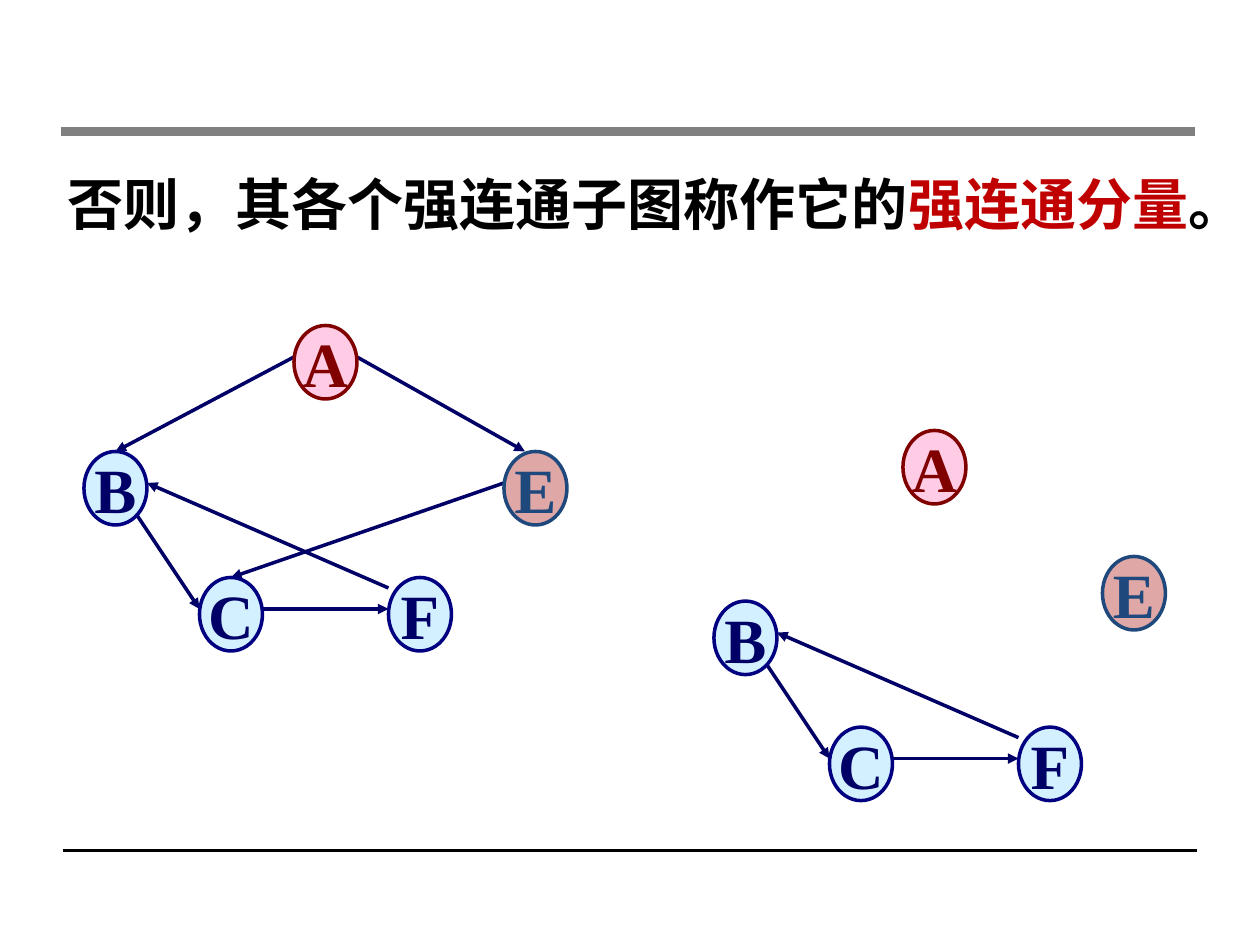
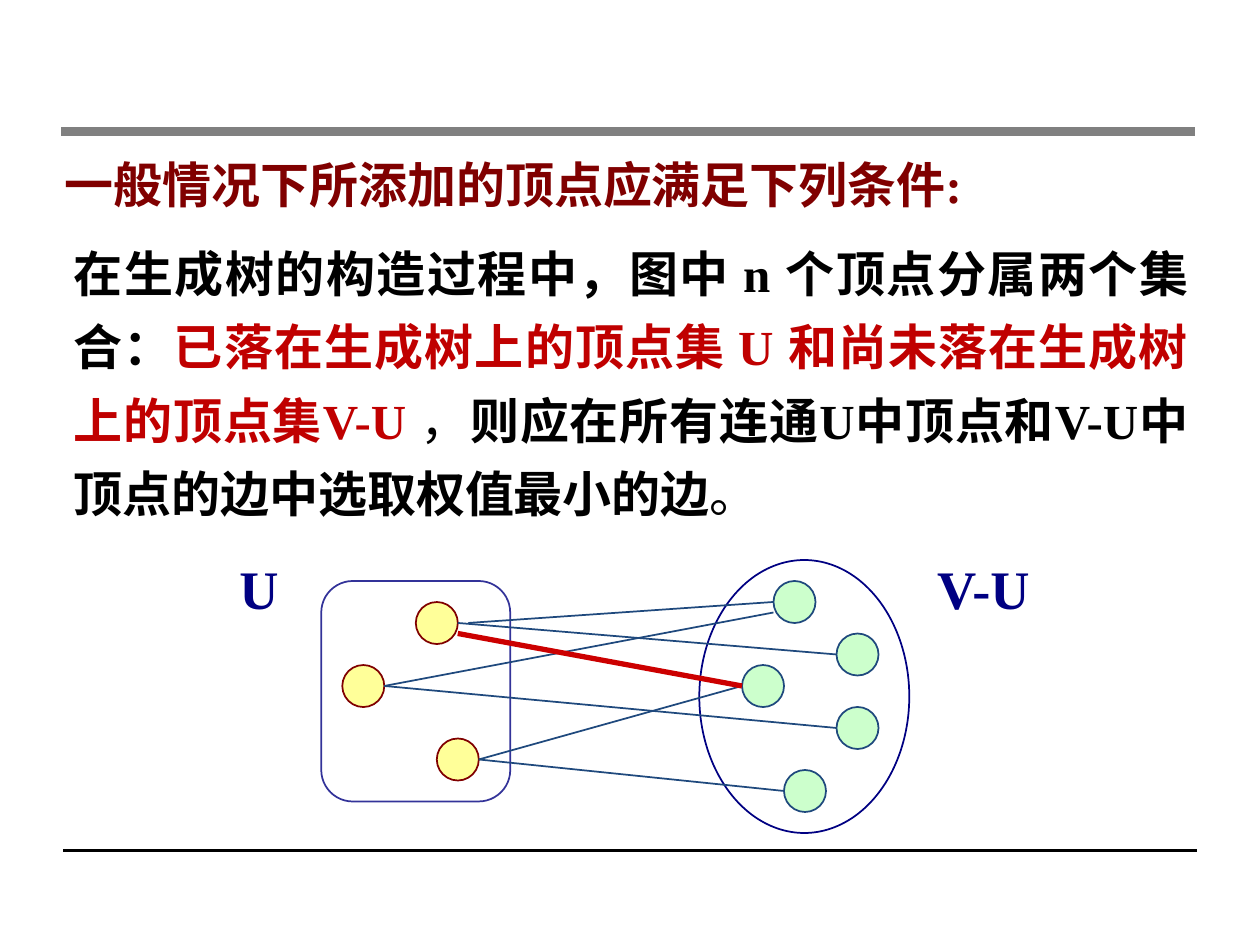
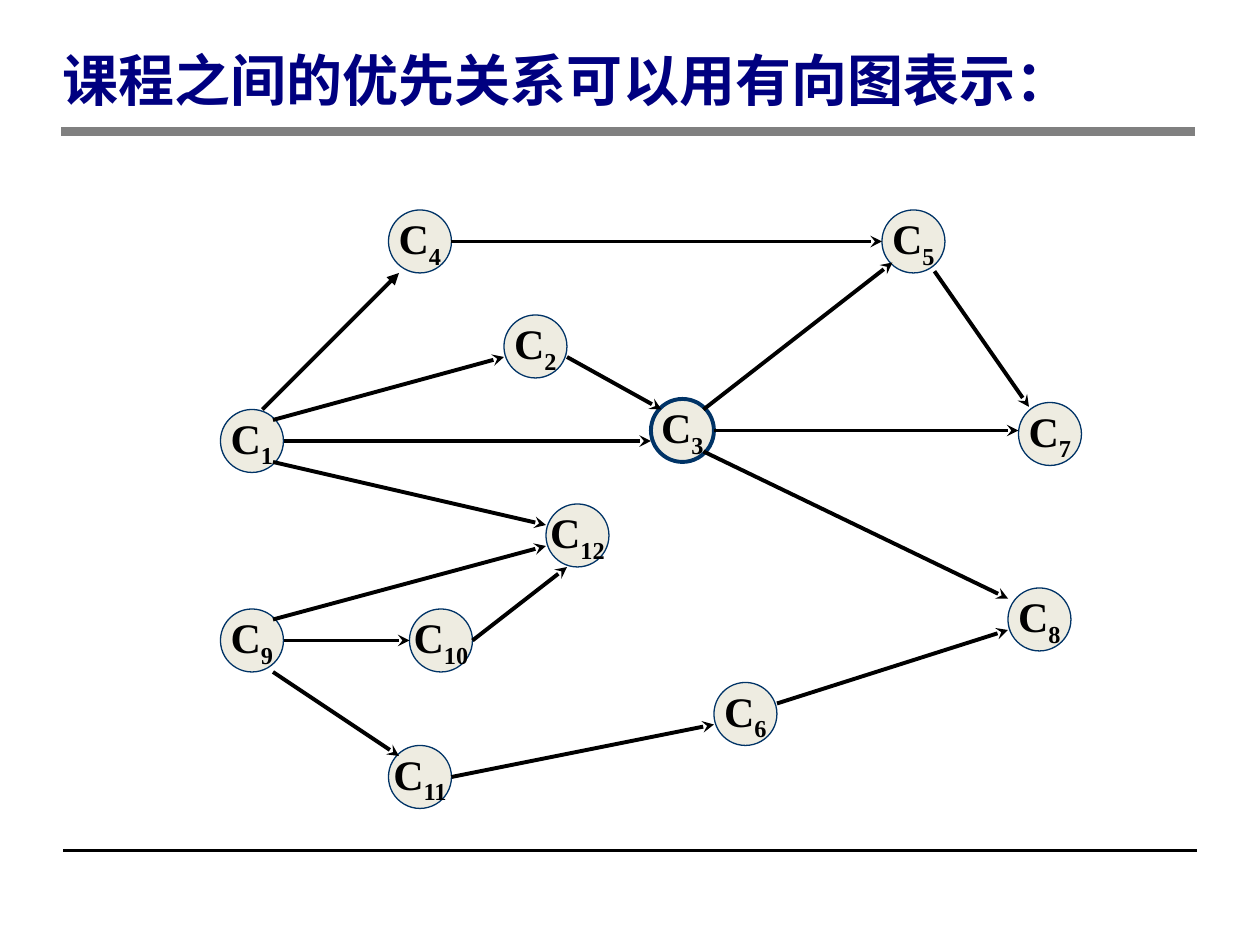
from dataclasses import dataclass

from lxml.etree import SubElement
from pptx import Presentation
from pptx.dml.color import RGBColor
from pptx.enum.shapes import MSO_CONNECTOR as Link, MSO_SHAPE as Preset
from pptx.enum.text import MSO_ANCHOR as Anchor, MSO_AUTO_SIZE as AutoSize, PP_ALIGN as Align
from pptx.oxml.ns import qn
from pptx.util import Pt


@dataclass(frozen=True)
class Theme:
    latin: str = "Times New Roman"
    cjk: str = "Noto Sans CJK SC"
    black: str = "000000"
    gray: str = "808080"
    maroon: str = "800000"
    red: str = "C00000"
    bright_red: str = "CC0000"
    navy: str = "000080"
    label_navy: str = "000082"
    arrow_navy: str = "000066"
    steel: str = "1F497D"
    indigo: str = "333399"
    pink: str = "FF99CC"
    sky: str = "A7E2FF"
    brick: str = "C0504D"
    yellow: str = "FFFF99"
    mint: str = "CCFFCC"
    cream: str = "EEECE1"
    course_line: str = "003366"
    title_size: int = 32
    body_size: int = 28
    set_size: float = 31
    vertex_size: int = 36
    course_size: int = 24


T = Theme()

# Every text is a list of (words, colour, bold).
STATEMENT = [("否则，其各个强连通子图称作它的", T.black, True),
             ("强连通分量", T.red, True), ("。", T.black, True)]
CONDITION_HEADING = [("一般情况下所添加的顶点应满足下列条件:", T.maroon, True)]
CONDITION = [("在生成树的构造过程中，图中 n 个顶点分属两个集合：", T.black, True),
             ("已落在生成树上的顶点集 U 和尚未落在生成树上的顶点集V-U ", T.red, True),
             ("，", T.black, False),
             ("则应在所有连通U中顶点和V-U中顶点的边中选取权值最小的边", T.black, True),
             ("。", T.black, False)]
COURSE_TITLE = [("课程之间的优先关系可以用有向图表示：", T.navy, True)]

# Places are left, top; edges run from (node, offset) to (node, offset).
VERTEX = (36, 42)
VERTEX_COLOURS = {  # fill, outline, letter
    "A": (T.pink, T.maroon, T.maroon),
    "E": (T.brick, T.steel, T.steel),
    **dict.fromkeys("BCF", (T.sky, T.navy, T.arrow_navy)),
}
GRAPH = {"A": (168, 186), "B": (48, 258), "E": (288, 258), "C": (114, 330), "F": (222, 330)}
COMPONENTS = {"B": (408, 343.5), "C": (474, 415.5), "F": (582, 415.5),
              "A": (516, 246), "E": (630, 318)}
CYCLE = [("B", (30, 36), "C", (0, 18)), ("C", (36, 18), "F", (0, 18)),
         ("F", (0, 6), "B", (36, 18))]
GRAPH_EDGES = CYCLE + [("A", (0, 18), "B", (18, 0)), ("A", (36, 18), "E", (12, 0)),
                       ("E", (0, 18), "C", (18, 0))]

DOT = (24, 24)
TREE_DOTS = {"u1": (237.6, 344), "u2": (195.6, 380), "u3": (249.6, 422)}
OUTER_DOTS = {"v1": (442, 332), "v2": (478, 362), "v3": (424, 380),
              "v4": (478, 404), "v5": (448, 440)}
DOT_RIGHT, DOT_LEFT = (24, 12), (0, 12)
CROSSING_EDGES = [("u1", (30, 12), "v1", DOT_LEFT), ("u1", DOT_RIGHT, "v2", DOT_LEFT),
                  ("u2", DOT_RIGHT, "v1", (0, 18)), ("u2", DOT_RIGHT, "v4", DOT_LEFT),
                  ("u3", DOT_RIGHT, "v3", DOT_LEFT), ("u3", DOT_RIGHT, "v5", DOT_LEFT)]
LIGHTEST_EDGE = [("u1", (24, 18), "v3", DOT_LEFT)]
SET_LABELS = [("U", (129.6, 314, 36.7, 44.6)), ("V-U", (525.6, 314, 69.8, 44.6))]

COURSE = (36, 36)
COURSES = {1: (126, 234), 9: (126, 348), 4: (222, 120), 2: (288, 180), 3: (372, 228),
           12: (312, 288), 10: (234, 348), 11: (222, 426), 5: (504, 120), 7: (582, 230),
           6: (408, 390), 8: (576, 336)}
KEY_COURSE = 3
FIRST_STEP = [(1, (24, 0), 4, (6, 36))]
PREREQUISITES = [
    (1, (36, 18), 3, (0, 24)), (3, (36, 18), 7, (0, 16)), (1, (30, 6), 2, (0, 24)),
    (2, (36, 24), 3, (6, 6)), (4, (36, 18), 5, (0, 18)), (5, (30, 35), 7, (6, 2.5)),
    (1, (30, 30), 12, (0, 12)), (9, (36, 18), 10, (0, 18)), (9, (30, 6), 12, (0, 24)),
    (9, (30, 36), 11, (6, 6)), (10, (36, 18), 12, (12, 36)), (11, (36, 18), 6, (0, 24)),
    (6, (36, 12), 8, (0, 24)), (3, (30, 30), 8, (0, 6)), (3, (30, 6), 5, (6, 30)),
]


def points(values):
    return [Pt(value) for value in values]


def format_run(run, size, colour, bold=True, latin=T.latin):
    run.font.size, run.font.bold, run.font.name = Pt(size), bold, latin
    run.font.color.rgb = RGBColor.from_string(colour)
    SubElement(run.font._element, qn("a:ea")).set("typeface", T.cjk)


def add_line(slide, start, end, colour, width, arrow=None):
    line = slide.shapes.add_connector(Link.STRAIGHT, *points(start + end))
    line.line.color.rgb = RGBColor.from_string(colour)
    line.line.width = Pt(width)
    if arrow:
        SubElement(line.line._get_or_add_ln(), qn("a:tailEnd")).set("type", arrow)
    SubElement(line._element.spPr, qn("a:effectLst"))


def add_edges(slide, nodes, edges, colour, width, arrow=None):
    for source, leave, target, arrive in edges:
        start, end = (tuple(a + b for a, b in zip(nodes[node], offset))
                      for node, offset in ((source, leave), (target, arrive)))
        add_line(slide, start, end, colour, width, arrow)


def add_outline(slide, preset, box, fill, colour, width, opacity=100):
    shape = slide.shapes.add_shape(preset, *points(box))
    shape.shadow.inherit = False
    if fill:
        shape.fill.solid()
        shape.fill.fore_color.rgb = RGBColor.from_string(fill)
        if opacity < 100:
            tint = shape._element.spPr.find(".//" + qn("a:srgbClr"))
            SubElement(tint, qn("a:alpha")).set("val", str(opacity * 1000))
    else:
        shape.fill.background()
    shape.line.color.rgb = RGBColor.from_string(colour)
    shape.line.width = Pt(width)
    return shape


def label_node(node, letter, size, colour, subscript=""):
    frame = node.text_frame
    frame.word_wrap = False
    frame.vertical_anchor = Anchor.MIDDLE
    paragraph = frame.paragraphs[0]
    paragraph.text = letter
    paragraph.alignment = Align.CENTER
    if subscript:
        paragraph.add_run().text = subscript
    for run in paragraph.runs:
        format_run(run, size, colour)
    if subscript:
        paragraph.runs[1].font._element.set("baseline", "-25000")


def add_text(slide, box, parts, size, leading=None, align=Align.LEFT, wrap=True, latin=T.latin):
    frame = slide.shapes.add_textbox(*points(box)).text_frame
    frame.word_wrap = wrap
    frame.auto_size = AutoSize.SHAPE_TO_FIT_TEXT
    paragraph = frame.paragraphs[0]
    paragraph.alignment = align
    if leading:
        paragraph.line_spacing = Pt(leading)
    for words, colour, bold in parts:
        run = paragraph.add_run()
        run.text = words
        format_run(run, size, colour, bold, latin)
    return frame


def add_ruled_slide(deck):
    slide = deck.slides.add_slide(deck.slide_layouts[6])
    add_line(slide, (36, 486), (684, 486), T.black, 2)
    add_line(slide, (35, 75), (683, 75), T.gray, 5)
    return slide


def add_vertex_graph(slide, places, edges):
    add_edges(slide, places, edges, T.arrow_navy, 2, "triangle")
    for letter, place in places.items():
        fill, outline, ink = VERTEX_COLOURS[letter]
        vertex = add_outline(slide, Preset.OVAL, place + VERTEX, fill, outline, 2, opacity=50)
        label_node(vertex, letter, T.vertex_size, ink)


def components_slide(deck):
    slide = add_ruled_slide(deck)
    add_vertex_graph(slide, GRAPH, GRAPH_EDGES)
    add_text(slide, (31.5, 82.8, 720, 51), STATEMENT, T.title_size, leading=49)
    add_vertex_graph(slide, COMPONENTS, CYCLE)


def spanning_tree_slide(deck):
    slide = add_ruled_slide(deck)
    add_text(slide, (35, 127, 651, 174), CONDITION, T.body_size, leading=42, align=Align.JUSTIFY)
    add_text(slide, (30, 73.5, 668, 47), CONDITION_HEADING, T.body_size, leading=45)
    add_outline(slide, Preset.ROUNDED_RECTANGLE, (183.6, 332, 108, 126), None, T.indigo, 1)
    add_outline(slide, Preset.OVAL, (399.6, 320, 120, 156), None, T.label_navy, 1)
    for dots, fill, outline in ((TREE_DOTS, T.yellow, T.maroon), (OUTER_DOTS, T.mint, T.steel)):
        for place in dots.values():
            add_outline(slide, Preset.OVAL, place + DOT, fill, outline, 1)
    all_dots = TREE_DOTS | OUTER_DOTS
    add_edges(slide, all_dots, CROSSING_EDGES, T.steel, 1)
    add_edges(slide, all_dots, LIGHTEST_EDGE, T.bright_red, 3)
    for name, box in SET_LABELS:
        add_text(slide, box, [(name, T.label_navy, True)], T.set_size,
                 align=Align.RIGHT, wrap=False)


def courses_slide(deck):
    slide = add_ruled_slide(deck)
    title = add_text(slide, (28.8, 21.6, 666, 42), COURSE_TITLE, T.title_size,
                     leading=43, latin=T.cjk)
    title.margin_top = 0
    for number, place in COURSES.items():
        width = 2.25 if number == KEY_COURSE else 0.75
        course = add_outline(slide, Preset.OVAL, place + COURSE, T.cream, T.course_line, width)
        label_node(course, "C", T.course_size, T.black, str(number))
    add_edges(slide, COURSES, FIRST_STEP, T.black, 2.25, "triangle")
    add_edges(slide, COURSES, PREREQUISITES, T.black, 2.25, "stealth")


def main():
    deck = Presentation()
    deck.slide_width, deck.slide_height = Pt(720), Pt(540)
    components_slide(deck)
    spanning_tree_slide(deck)
    courses_slide(deck)
    deck.save("out.pptx")


if __name__ == "__main__":
    main()
